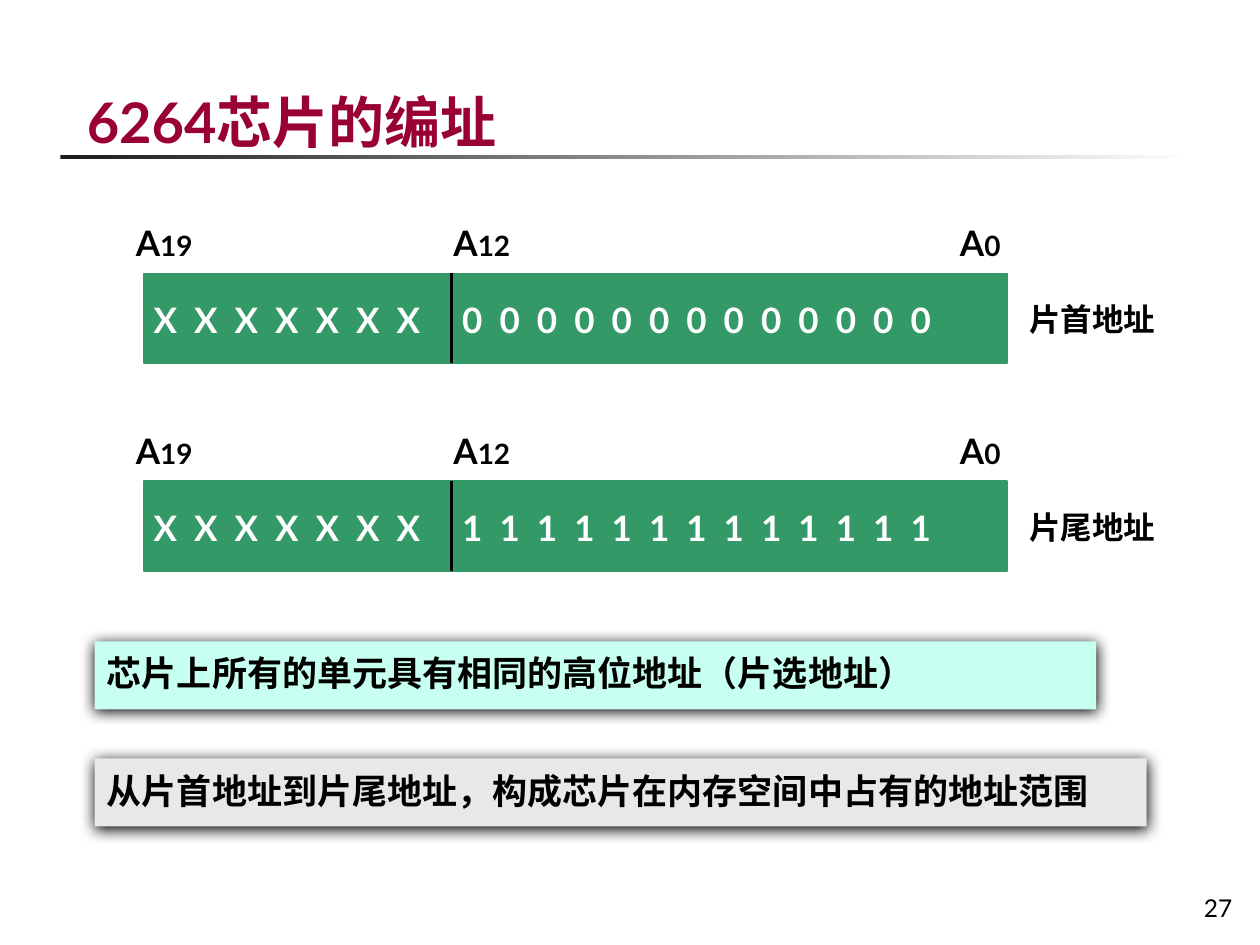
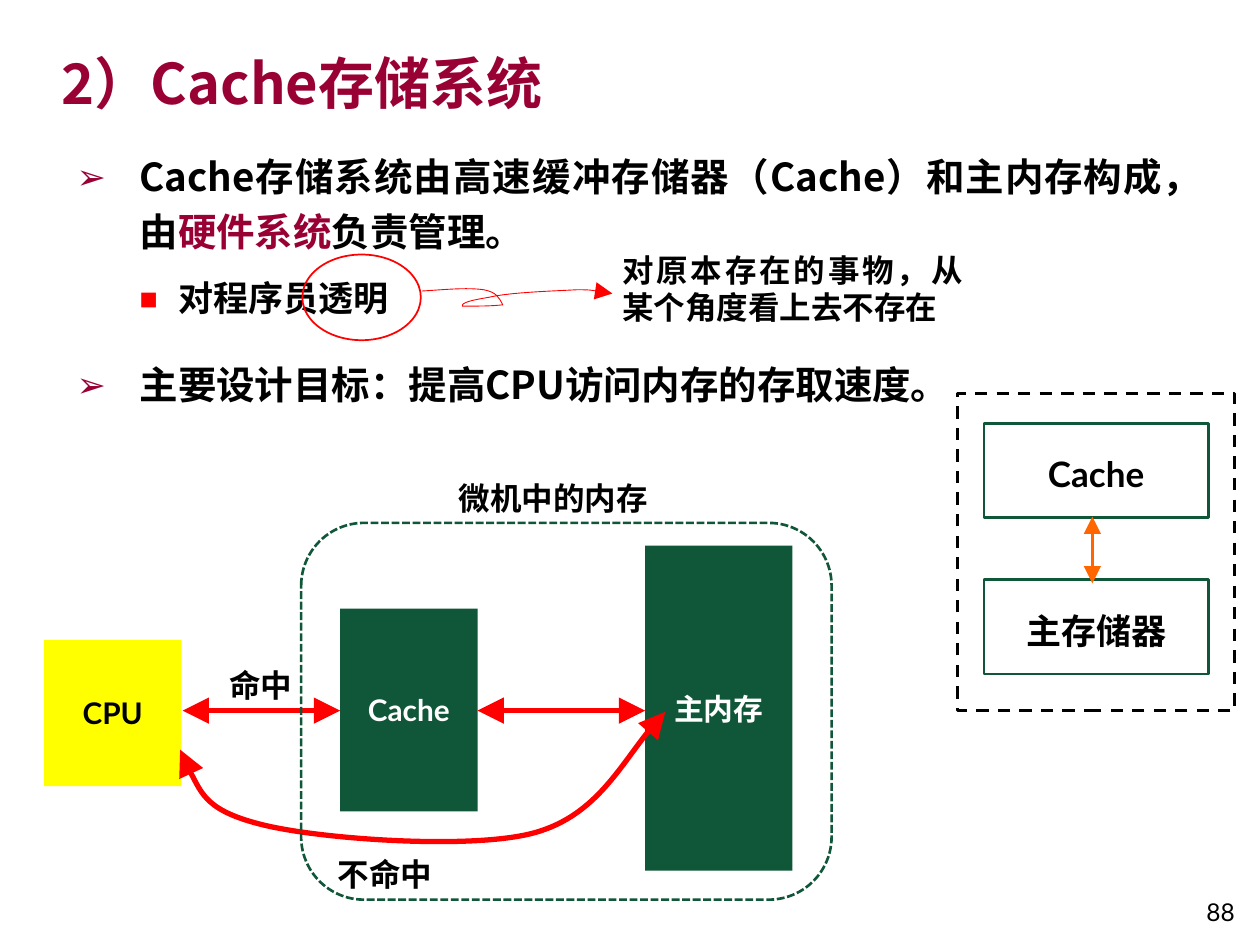
import pptx
import pptx.util
import pptx.dml.color
import pptx.enum.dml
import pptx.enum.shapes
import pptx.enum.text
import pptx.oxml
import pptx.oxml.ns
from lxml import etree

Inches = pptx.util.Inches
Pt = pptx.util.Pt
qn = pptx.oxml.ns.qn
ALIGN = pptx.enum.text.PP_ALIGN
ANCHOR = pptx.enum.text.MSO_ANCHOR
SHAPE = pptx.enum.shapes.MSO_SHAPE
DASH = pptx.enum.dml.MSO_LINE

LATIN, CHINESE = "Lato", "Noto Sans CJK SC"
BLACK, WHITE, RED = "000000", "FFFFFF", "FF0000"
WINE, GREEN, FOREST = "990033", "339966", "105638"
BIT_SPACING = 244  # hundredths of a point between characters


def color(hex_string):
    return pptx.dml.color.RGBColor.from_string(hex_string)


def add_xml(parent, tag, **attributes):
    return etree.SubElement(parent, qn(tag), attributes)


def add_run(paragraph, text, size, hex_string=BLACK, bold=True):
    run = paragraph.add_run()
    run.text = text
    values = {"size": Pt(size), "bold": bold, "name": LATIN if text.isascii() else CHINESE}
    for name, value in values.items():
        setattr(run.font, name, value)
    run.font.color.rgb = color(hex_string)
    add_xml(run.font._element, "a:ea", typeface=CHINESE)
    return run


def write(shape, runs, align=ALIGN.LEFT, anchor=ANCHOR.TOP, spacing=None):
    """Fill the first paragraph with runs given as (text, size, colour, bold)."""
    frame = shape.text_frame
    for name, value in {"word_wrap": True, "vertical_anchor": anchor}.items():
        setattr(frame, name, value)
    paragraph = frame.paragraphs[0]
    for name, value in {"alignment": align, "line_spacing": spacing}.items():
        setattr(paragraph, name, value)
    return [add_run(paragraph, *run) for run in runs]


def add_text(slide, box, *runs, **layout):
    return write(slide.shapes.add_textbox(*map(Inches, box)), runs, **layout)


def style_line(shape, hex_string, width, dash=None, arrows=()):
    line = shape.line
    line.color.rgb = color(hex_string)
    line.width = Pt(width)
    if dash:
        line.dash_style = dash
    outline = shape.element.spPr.find(qn("a:ln"))
    for end in arrows:
        add_xml(outline, f"a:{end}", type="triangle", w="lg", len="lg")


def add_block(slide, box, fill=None, line=None, kind=SHAPE.RECTANGLE):
    """Add a shape; line is (colour, width, dash)."""
    shape = slide.shapes.add_shape(kind, *map(Inches, box))
    shape.shadow.inherit = False
    if fill:
        shape.fill.solid()
        shape.fill.fore_color.rgb = color(fill)
    else:
        shape.fill.background()
    if line:
        style_line(shape, *line)
    else:
        shape.line.fill.background()
    return shape


def add_line(slide, start, end, hex_string, width, arrows=()):
    connector = slide.shapes.add_connector(
        pptx.enum.shapes.MSO_CONNECTOR.STRAIGHT, *map(Inches, start + end))
    style_line(connector, hex_string, width, arrows=arrows)
    add_xml(connector.element.spPr, "a:effectLst")


def add_curve(slide, start, segments, width, arrows):
    """Draw a red open curve through cubic Bézier segments (control, control, end)."""
    builder = slide.shapes.build_freeform(*map(Inches, start))
    builder.add_line_segments([tuple(map(Inches, segment[-1])) for segment in segments],
                              close=False)
    curve = builder.convert_to_shape()
    straight_parts = list(curve.element.spPr.iter(qn("a:lnTo")))
    for straight, segment in zip(straight_parts, segments):
        bend = etree.Element(qn("a:cubicBezTo"))
        for x, y in segment:
            add_xml(bend, "a:pt", x=str(Inches(x) - curve.left), y=str(Inches(y) - curve.top))
        straight.getparent().replace(straight, bend)
    curve.shadow.inherit = False
    curve.fill.background()
    style_line(curve, RED, width, arrows=arrows)


def add_title(slide, box, *parts):
    add_text(slide, box, *((part, 32, WINE) for part in parts), anchor=ANCHOR.BOTTOM)


def add_page_number(slide, box, number):
    add_text(slide, box, (number, 14, BLACK, False), align=ALIGN.RIGHT, anchor=ANCHOR.BOTTOM)


def add_title_rule(slide, box):
    rule = add_block(slide, box)
    rule.fill.gradient()
    rule.fill.gradient_angle = 0
    for stop, hex_string in zip(rule.fill.gradient_stops, ("1C1C1C", WHITE)):
        stop.color.rgb = color(hex_string)


def add_address_row(slide, left, top, low_bit, caption):
    """Draw address lines A19 to A0, split at A12, above a bar of bits."""
    add_block(slide, (left, top, 6.85, 0.71), GREEN, (GREEN, 1))
    split = left + 2.44
    add_line(slide, (split, top), (split, top + 0.71), BLACK, 1.75)
    for offset, index in ((-0.16, "19"), (2.36, "12"), (6.38, "0")):
        add_text(slide, (left + offset, top - 0.46, 0.79, 0.43), ("A", 20), (index, 16))
    for offset, width, bit, count in ((-0.02, 2.52, "X", 7), (2.43, 4.49, low_bit, 13)):
        bits, = add_text(slide, (left + offset, top + 0.15, width, 0.43),
                         (" ".join(bit * count), 20, WHITE))
        bits.font._element.set("spc", str(BIT_SPACING))
    add_text(slide, (left + 6.93, top + 0.16, 1.26, 0.4), (caption, 18))


def add_note(slide, box, fill, text):
    note = add_block(slide, box, fill)
    effects = note.element.spPr.find(qn("a:effectLst"))
    shadow = add_xml(effects, "a:outerShdw", blurRad=str(Pt(8.5)), dist=str(Pt(1)),
                     dir="5400000", algn="t", rotWithShape="0")
    add_xml(shadow, "a:srgbClr", val=BLACK)
    write(note, [(text, 20)], anchor=ANCHOR.MIDDLE)
    note.text_frame.margin_top = Inches(0.08)
    note.text_frame.margin_bottom = Inches(0.12)


def build_addressing(slide):
    add_title_rule(slide, (0.48, 1.23, 9, 0.03))
    add_page_number(slide, (9.03, 6.87, 0.85, 0.5), "27")
    add_title(slide, (0.59, 0.21, 7.99, 1.07), "6264", "芯片的编址")
    add_address_row(slide, 1.14, 2.17, "0", "片首地址")
    add_address_row(slide, 1.14, 3.82, "1", "片尾地址")
    add_note(slide, (0.75, 5.09, 7.95, 0.54), "C7FFF0",
             "芯片上所有的单元具有相同的高位地址（片选地址）")
    add_note(slide, (0.75, 6.02, 8.35, 0.54), "E8E8E8",
             "从片首地址到片尾地址，构成芯片在内存空间中占有的地址范围")


def set_bullet(paragraph, level):
    margin, indent, char, hex_string, percent = (
        (0.5, -0.5, "➢", WINE, 91), (0.81, -0.31, "■", RED, 55))[level]
    paragraph.level = level
    properties = paragraph._p.get_or_add_pPr()
    properties.set("marL", str(Inches(margin)))
    properties.set("indent", str(Inches(indent)))
    add_xml(add_xml(properties, "a:buClr"), "a:srgbClr", val=hex_string)
    add_xml(properties, "a:buSzPct", val=str(percent * 1000))
    add_xml(properties, "a:buFont", typeface=LATIN)
    add_xml(properties, "a:buChar", char=char)


def add_bullets(slide, box):
    items = (
        (0, 1.2, 0, [("Cache存储系统由高速缓冲存储器（Cache）和主内存构成，由", 22),
                     ("硬件系统", 22, WINE), ("负责管理。", 22)]),
        (1, 1.2, 6, [("对程序员透明", 20)]),
        (0, 1.15, 18, [("主要设计目标：提高CPU访问内存的存取速度。", 22)]),
    )
    frame = slide.shapes.add_textbox(*map(Inches, box)).text_frame
    frame.word_wrap = True
    for position, (level, spacing, before, runs) in enumerate(items):
        paragraph = frame.add_paragraph() if position else frame.paragraphs[0]
        values = {"alignment": ALIGN.JUSTIFY, "line_spacing": spacing,
                  "space_before": Pt(before), "space_after": Pt(2)}
        for name, value in values.items():
            setattr(paragraph, name, value)
        set_bullet(paragraph, level)
        for run in runs:
            add_run(paragraph, *run)


def add_hierarchy(slide, left, top):
    """Draw the cache and main store in a dashed frame."""
    for offset, label in ((0.24, "Cache"), (1.48, "主存储器")):
        store = add_block(slide, (left + 0.21, top + offset, 1.78, 0.75), line=(FOREST, 1.5))
        write(store, [(label, 20)], align=ALIGN.CENTER, anchor=ANCHOR.MIDDLE, spacing=1.15)
    add_block(slide, (left, top, 2.2, 2.52), line=(BLACK, 1.75, DASH.DASH))
    middle = left + 1.07
    add_line(slide, (middle, top + 0.98), (middle, top + 1.51), "FF6600", 1.75,
             ("headEnd", "tailEnd"))


def add_transparency_remark(slide, left, top):
    """Circle the word and lead a scribbled arrow to its meaning."""
    add_block(slide, (left, top, 0.94, 0.68), line=(RED, 1), kind=SHAPE.OVAL)
    scribble = (
        ((1.12, 0.28), (1.3, 0.26), (1.44, 0.28)),
        ((1.54, 0.3), (1.56, 0.34), (1.59, 0.4)),
        ((1.5, 0.41), (1.4, 0.41), (1.27, 0.41)),
        ((1.26, 0.38), (1.36, 0.36), (1.48, 0.34)),
        ((1.65, 0.3), (2, 0.29), (2.18, 0.28)),
        ((2.3, 0.28), (2.4, 0.3), (2.46, 0.31)),
    )
    segments = [[(left + x, top + y) for x, y in segment] for segment in scribble]
    add_curve(slide, (left + 0.95, top + 0.29), segments, 0.5, ["tailEnd"])
    add_text(slide, (left + 2.44, top - 0.08, 2.9, 0.71),
             ("对原本存在的事物，从某个角度看上去不存在", 18), align=ALIGN.JUSTIFY)


def add_cache_flow(slide, left, top):
    """Draw CPU, cache and main memory with the hit and miss routes."""
    def place(x, y, width, height):
        return left + x, top + y, width, height

    both_ends = ("headEnd", "tailEnd")
    blocks = (
        ("Cache", place(2.35, 1.08, 1.09, 1.61), FOREST, WHITE),
        ("主内存", place(4.77, 0.58, 1.17, 2.58), FOREST, WHITE),
        ("CPU", place(0, 1.33, 1.09, 1.16), "FFFF00", BLACK),
    )
    for label, box, fill, ink in blocks:
        write(add_block(slide, box, fill), [(label, 17, ink)],
              align=ALIGN.CENTER, anchor=ANCHOR.MIDDLE)
    for start, end in ((1.1, 2.35), (3.44, 4.77)):
        add_line(slide, (left + start, top + 1.89), (left + end, top + 1.89), RED, 3, both_ends)
    miss_route = (
        ((1.18, 2.44), (1.29, 2.69), (1.75, 2.8)),
        ((2.21, 2.91), (3.34, 2.99), (3.85, 2.87)),
        ((4.36, 2.75), (4.65, 2.19), (4.93, 1.9)),
    )
    segments = [[(left + x, top + y) for x, y in segment] for segment in miss_route]
    add_curve(slide, (left + 1.08, top + 2.2), segments, 3, both_ends)
    add_block(slide, place(2.04, 0.4, 4.21, 2.99), line=(FOREST, 1.5, DASH.SQUARE_DOT),
              kind=SHAPE.ROUNDED_RECTANGLE)
    labels = (
        ("命中", place(1.25, 1.49, 0.94, 0.4)),
        ("不命中", place(2.04, 2.99, 1.33, 0.4)),
        ("微机中的内存", place(3.04, 0, 2, 0.4)),
    )
    for label, box in labels:
        add_text(slide, box, (label, 18), align=ALIGN.CENTER)


def build_cache(slide):
    add_title(slide, (0.39, 0.13, 7.99, 0.84), "2）Cache存储系统")
    add_bullets(slide, (0.51, 1.09, 8.82, 2.55))
    add_page_number(slide, (9.33, 6.9, 0.57, 0.5), "88")
    add_hierarchy(slide, 7.6, 3.12)
    add_transparency_remark(slide, 2.4, 2.02)
    add_cache_flow(slide, 0.35, 3.75)


def main():
    presentation = pptx.Presentation()
    presentation.slide_width = Inches(10)
    presentation.slide_height = Inches(7.5)
    for build in (build_addressing, build_cache):
        build(presentation.slides.add_slide(presentation.slide_layouts[6]))
    presentation.save("out.pptx")


if __name__ == "__main__":
    main()
